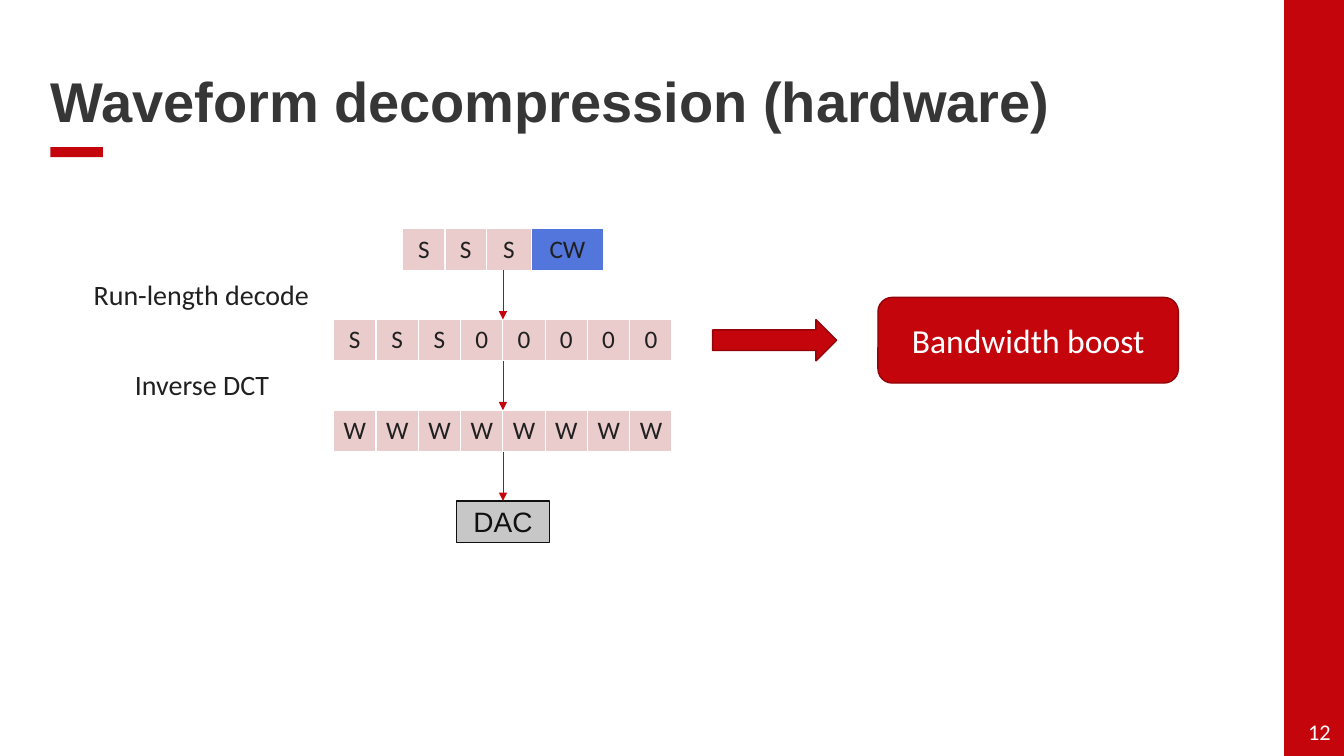
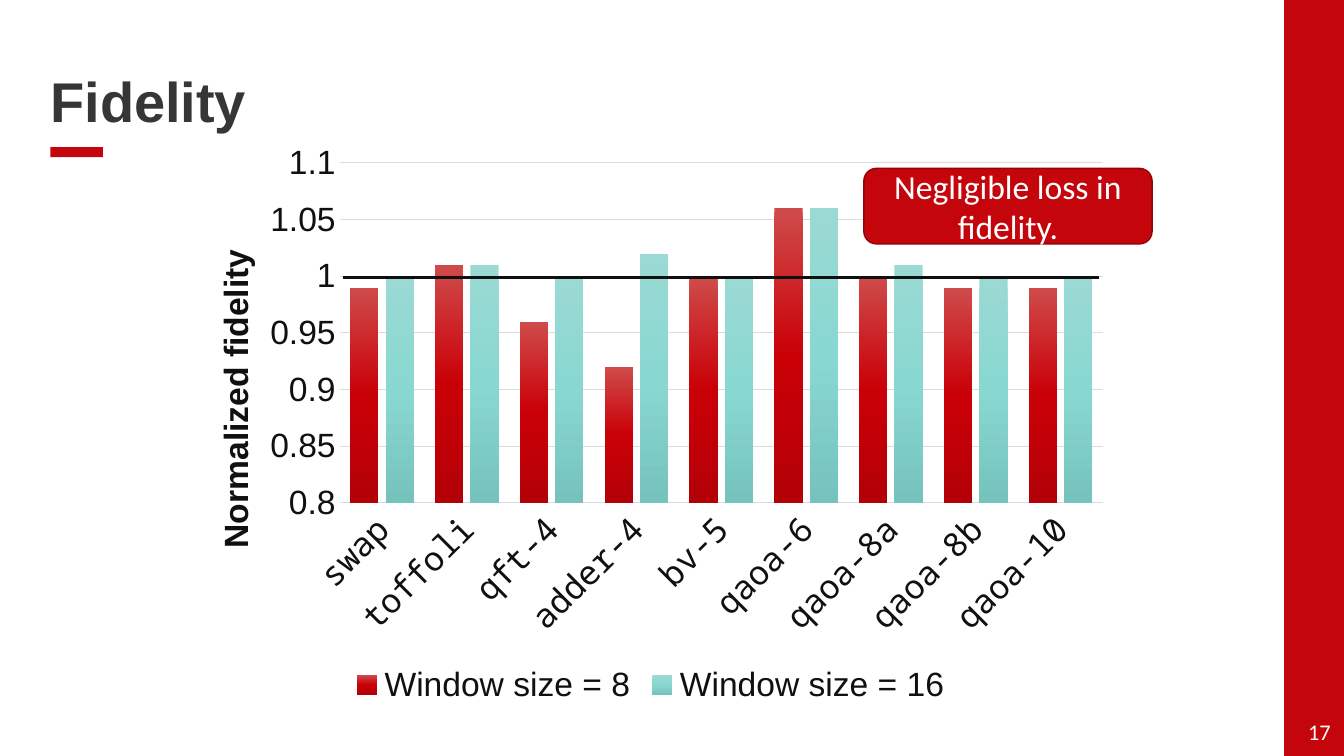
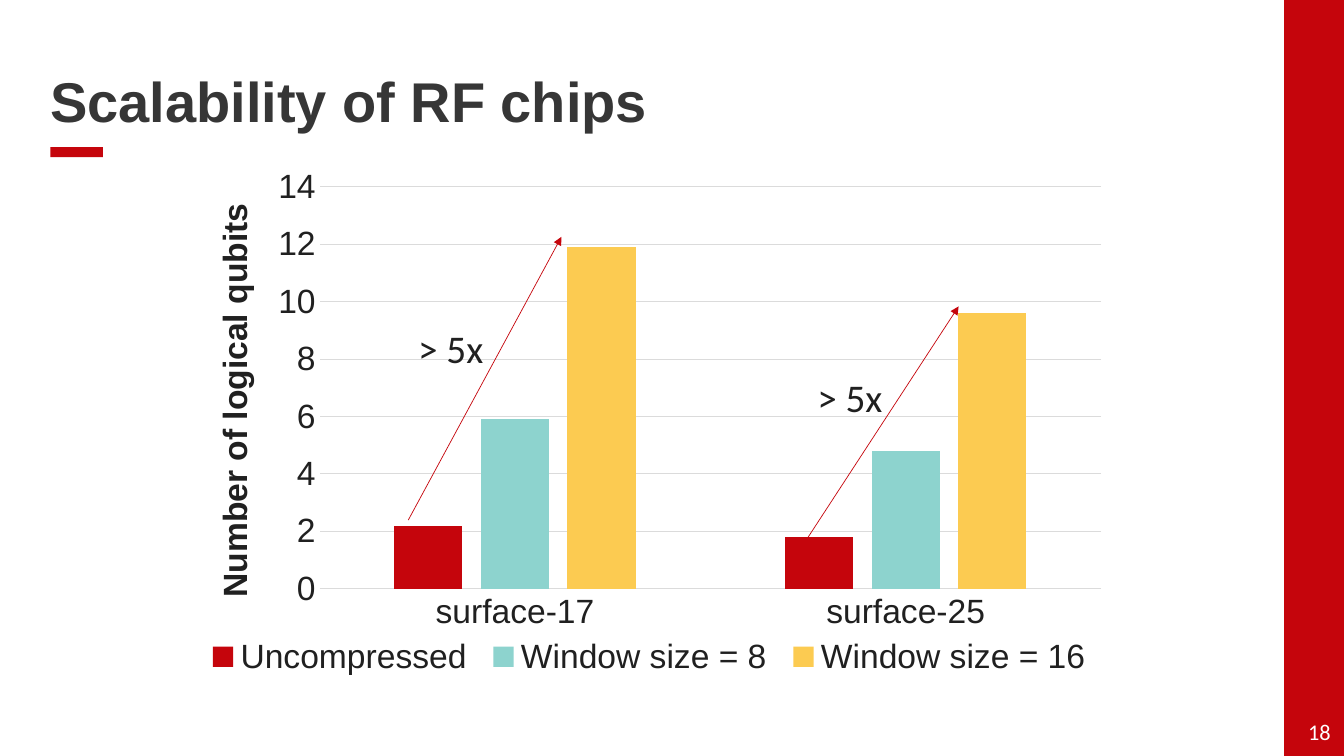
from copy import deepcopy

from lxml.etree import SubElement
from pptx import Presentation
from pptx.chart.data import CategoryChartData
from pptx.dml.color import RGBColor
from pptx.enum.chart import XL_CHART_TYPE, XL_LEGEND_POSITION, XL_TICK_MARK
from pptx.enum.shapes import MSO_CONNECTOR, MSO_SHAPE
from pptx.enum.text import MSO_ANCHOR, PP_ALIGN
from pptx.oxml.ns import qn
from pptx.util import Inches, Pt

RED = RGBColor(0xC5, 0x05, 0x0C)
DARK_RED = RGBColor(0x92, 0x04, 0x09)
PINK = RGBColor(0xEA, 0xCC, 0xCC)
BLUE = RGBColor(0x52, 0x76, 0xDC)
TEAL = RGBColor(0x8D, 0xD3, 0xCE)
YELLOW = RGBColor(0xFC, 0xCB, 0x51)
GREY = RGBColor(0xC7, 0xC7, 0xC7)
GRID_GREY = RGBColor(0xDB, 0xDB, 0xDB)
WHITE = RGBColor(0xFF, 0xFF, 0xFF)
TITLE_GREY = RGBColor(0x36, 0x36, 0x36)
INK = RGBColor(0x20, 0x20, 0x20)
BLACK = RGBColor(0x10, 0x10, 0x10)
RED_FADE = [(0, RGBColor(0xCF, 0x4B, 0x4B)), (0.5, RGBColor(0xCA, 0x00, 0x07)),
            (1, RGBColor(0xB4, 0x00, 0x07))]
TEAL_FADE = [(0, RGBColor(0x9B, 0xD9, 0xD4)), (0.5, RGBColor(0x89, 0xD7, 0xD1)),
             (1, RGBColor(0x76, 0xC3, 0xBD))]

COLUMNS, ROWS = 133.33, 75
BAND_LEFT = 127.4
STACK_CENTER, STACK_TOP, STACK_PITCH, CELL_HEIGHT = 49.9, 22.7, 9, 4.1


def grid(*counts):
    """Turn counts of grid units, ten to the inch, into lengths."""
    return [Inches(count / 10) for count in counts]


def assign(target, values):
    """Set each named attribute of the target."""
    for name, value in values.items():
        setattr(target, name, value)


def set_font(font, size, color, name="Calibri", bold=False):
    """Format a font."""
    assign(font, {"size": Pt(size), "name": name, "bold": bold})
    font.color.rgb = color


def write(frame, text, size, color, name="Calibri", bold=False,
          align=PP_ALIGN.LEFT, anchor=MSO_ANCHOR.TOP):
    """Write one formatted paragraph into a text frame."""
    assign(frame, {"word_wrap": True, "vertical_anchor": anchor})
    para = frame.paragraphs[0]
    para.alignment = align
    span = para.add_run()
    span.text = text
    set_font(span.font, size, color, name, bold)
    return para


def add_label(page, area, text, size, color=INK, **look):
    """Add a text box and return it with its paragraph."""
    box = page.shapes.add_textbox(*grid(*area))
    return box, write(box.text_frame, text, size, color, **look)


def add_block(page, kind, area, fill, outline=None):
    """Add a flat preset shape."""
    shape = page.shapes.add_shape(kind, *grid(*area))
    shape.shadow.inherit = False
    shape.fill.solid()
    shape.fill.fore_color.rgb = fill
    if outline is None:
        shape.line.fill.background()
    else:
        shape.line.color.rgb = outline
        shape.line.width = Pt(1)
    return shape


def add_callout(page, area, text):
    """Add a rounded red box with a takeaway."""
    callout = add_block(page, MSO_SHAPE.ROUNDED_RECTANGLE, area, RED, DARK_RED)
    write(callout.text_frame, text, 24, WHITE,
          align=PP_ALIGN.CENTER, anchor=MSO_ANCHOR.MIDDLE)


def add_line(page, start, end, color=RED, width=0.5, arrow=True):
    """Add a straight line, with an arrowhead at its end if wanted."""
    line = page.shapes.add_connector(MSO_CONNECTOR.STRAIGHT, *grid(*start, *end))
    line.line.color.rgb = color
    line.line.width = Pt(width)
    if arrow:
        SubElement(line.line._get_or_add_ln(), qn("a:tailEnd"), type="triangle")
    SubElement(line._element.spPr, qn("a:effectLst"))
    return line


def add_borders(cell):
    """Give a table cell thin white borders."""
    properties = cell._tc.get_or_add_tcPr()
    for index, side in enumerate(("a:lnL", "a:lnR", "a:lnT", "a:lnB")):
        border = properties.makeelement(qn(side), {"w": str(Pt(1))})
        fill = SubElement(border, qn("a:solidFill"))
        SubElement(fill, qn("a:srgbClr"), val=str(WHITE))
        properties.insert(index, border)


def add_strip(page, top, texts, widths):
    """Add a one-row table centred on the stack."""
    total = sum(widths)
    area = grid(STACK_CENTER - total / 2, top, total, CELL_HEIGHT)
    table = page.shapes.add_table(1, len(texts), *area).table
    assign(table, {"first_row": False, "horz_banding": False})
    for index, (text, width) in enumerate(zip(texts, widths)):
        table.columns[index].width = grid(width)[0]
        cell = table.cell(0, index)
        cell.fill.solid()
        cell.fill.fore_color.rgb = BLUE if text == "CW" else PINK
        cell.vertical_anchor = MSO_ANCHOR.MIDDLE
        write(cell.text_frame, text, 18, INK, align=PP_ALIGN.CENTER,
              anchor=MSO_ANCHOR.MIDDLE)
        add_borders(cell)


def fix_layout(chart, query, index, shares, inner=False):
    """Place a chart part by shares of the chart's size."""
    part = chart.element.xpath(query)[0]
    for old in part.findall(qn("c:layout")):
        part.remove(old)
    layout = part.makeelement(qn("c:layout"), {})
    part.insert(index, layout)
    manual = SubElement(layout, qn("c:manualLayout"))
    if inner:
        SubElement(manual, qn("c:layoutTarget"), val="inner")
    for mode in ("c:xMode", "c:yMode"):
        SubElement(manual, qn(mode), val="edge")
    for side, share in zip(("c:x", "c:y", "c:w", "c:h"), shares):
        SubElement(manual, qn(side), val=str(share))


def paint_series(series, paint):
    """Fill a series with a colour or a vertical fade."""
    series.invert_if_negative = False
    fill = series.format.fill
    if isinstance(paint, RGBColor):
        fill.solid()
        fill.fore_color.rgb = paint
        return
    fill.gradient()
    fill.gradient_angle = 270
    stops = series._element.xpath("c:spPr/a:gradFill/a:gsLst")[0]
    stops.append(deepcopy(stops[-1]))
    for stop, (position, color) in zip(fill.gradient_stops, paint):
        stop.position = position
        stop.color.rgb = color


def add_columns(page, area, categories, series, scale, title, plot_area, title_spot,
                gap, overlap, color, category_font="Arial"):
    """Add a clustered column chart with a titled value axis."""
    data = CategoryChartData()
    data.categories = categories
    for name, values, _ in series:
        data.add_series(name, values)
    chart = page.shapes.add_chart(
        XL_CHART_TYPE.COLUMN_CLUSTERED, *grid(*area), data).chart
    set_font(chart.font, 10, INK)
    assign(chart, {"has_title": False, "has_legend": True})
    assign(chart.legend, {"position": XL_LEGEND_POSITION.BOTTOM,
                          "include_in_layout": False})
    set_font(chart.legend.font, 24, color, "Arial")

    plot = chart.plots[0]
    assign(plot, {"gap_width": gap, "overlap": overlap, "vary_by_categories": False})
    for item, (_, _, paint) in zip(plot.series, series):
        paint_series(item, paint)

    value_axis, category_axis = chart.value_axis, chart.category_axis
    for axis, name in ((value_axis, "Arial"), (category_axis, category_font)):
        assign(axis, {"major_tick_mark": XL_TICK_MARK.NONE,
                      "minor_tick_mark": XL_TICK_MARK.NONE})
        set_font(axis.tick_labels.font, 24, color, name)
    minimum, maximum, step = scale
    assign(value_axis, {"minimum_scale": minimum, "maximum_scale": maximum,
                        "major_unit": step, "has_major_gridlines": True})
    value_axis.format.line.fill.background()
    for line in (value_axis.major_gridlines.format.line, category_axis.format.line):
        line.color.rgb = GRID_GREY
        line.width = Pt(0.75)
    span = value_axis.axis_title.text_frame.paragraphs[0].add_run()
    span.text = title
    set_font(span.font, 24, color, "Arial", True)

    fix_layout(chart, "c:chart/c:plotArea", 0, plot_area, inner=True)
    fix_layout(chart, "//c:valAx/c:title", 1, title_spot)
    return chart


def start_page(deck, title, number):
    """Add a page with the band, title, accent bar and page number."""
    page = deck.slides.add_slide(deck.slide_layouts[6])
    add_block(page, MSO_SHAPE.RECTANGLE, (BAND_LEFT, 0, COLUMNS - BAND_LEFT, ROWS), RED)
    add_block(page, MSO_SHAPE.RECTANGLE, (5, 14.6, 5.2, 1), RED)
    box, para = add_label(page, (5, 6.8, 119.2, 6.6), title, 40, TITLE_GREY,
                          name="Arial", bold=True, anchor=MSO_ANCHOR.BOTTOM)
    assign(box.text_frame, {"margin_left": 0, "margin_bottom": 0})
    assign(para, {"line_spacing": 0.9, "space_before": Pt(10)})
    add_label(page, (BAND_LEFT, 70.6, 5.6, 4), str(number), 16, WHITE,
              align=PP_ALIGN.RIGHT, anchor=MSO_ANCHOR.MIDDLE)
    return page


def build_decompression(deck):
    """Build the decompression pipeline page."""
    page = start_page(deck, "Waveform decompression (hardware)", 12)
    tops = [STACK_TOP + STACK_PITCH * step for step in range(4)]
    strips = [("S", "S", "S", "CW"), "SSS00000", "WWWWWWWW"]
    widths = [(4.2, 4.1, 4.5, 7.1), [4.2] * 8, [4.2] * 8]
    for top, texts, sizes in zip(tops, strips, widths):
        add_strip(page, top, texts, sizes)
    converter = add_block(page, MSO_SHAPE.RECTANGLE,
                          (STACK_CENTER - 4.6, tops[3], 9.2, CELL_HEIGHT), GREY, BLACK)
    write(converter.text_frame, "DAC", 20, BLACK, "Arial",
          align=PP_ALIGN.CENTER, anchor=MSO_ANCHOR.MIDDLE)
    for top, following in zip(tops, tops[1:]):
        arrow = add_line(page, (STACK_CENTER, top + CELL_HEIGHT),
                         (STACK_CENTER, following))
    arrow.end_connect(converter, 0)
    steps = [("Run-length decode", 8.3, 24.8), ("Inverse DCT", 12.4, 16.6)]
    for top, (text, left, width) in zip(tops, steps):
        add_label(page, (left, top + 4.3, width, 4.4), text, 20)
    add_block(page, MSO_SHAPE.RIGHT_ARROW, (70.7, tops[1], 12.3, CELL_HEIGHT),
              RED, DARK_RED)
    add_callout(page, (87.1, 29.5, 29.8, 8.5), "Bandwidth boost")


def build_fidelity(deck):
    """Build the fidelity chart page."""
    page = start_page(deck, "Fidelity", 17)
    chart = add_columns(
        page, (17.8, 13.3, 93.5, 57.2),
        ["swap", "toffoli", "qft-4", "adder-4", "bv-5",
         "qaoa-6", "qaoa-8a", "qaoa-8b", "qaoa-10"],
        [("Window size = 8",
          (0.99, 1.01, 0.96, 0.92, 1, 1.06, 1, 0.99, 0.99), RED_FADE),
         ("Window size = 16",
          (1, 1.01, 1, 1.02, 1, 1.06, 1.01, 1, 1), TEAL_FADE)],
        (0.8, 1.1, 0.05), "Normalized fidelity", (0.17, 0.05, 0.81, 0.59),
        (0.03, 0.19), 75, -25, BLACK, "Noto Sans Mono")
    chart.element.xpath("//c:catAx/c:txPr/a:bodyPr")[0].set("rot", "-2700000")
    add_line(page, (34, 27.5), (109, 27.5), BLACK, 2.25, arrow=False)
    add_callout(page, (85.7, 16.7, 28.6, 7.5), "Negligible loss in fidelity.")


def build_scalability(deck):
    """Build the scalability chart page."""
    page = start_page(deck, "Scalability of RF chips", 18)
    chart = add_columns(
        page, (17.7, 15.3, 93.4, 53.9), ["surface-17", "surface-25"],
        [("Uncompressed", (2.2, 1.8), RED),
         ("Window size = 8", (5.9, 4.8), TEAL),
         ("Window size = 16", (11.9, 9.6), YELLOW)],
        (0, 14, 2), "Number of logical qubits", (0.15, 0.06, 0.83, 0.74),
        (0.03, 0.08), 219, -27, INK)
    fix_layout(chart, "c:chart/c:legend", 1, (0.02, 0.88, 0.96, 0.09))
    for start, end, top in (((40.5, 51.6), (55.7, 23.5), 31.7),
                            ((80.1, 53.4), (95.1, 30.4), 36.5)):
        add_line(page, start, end)
        add_label(page, (start[0], top, 9.6, 5.7), "> 5x", 28)


def main():
    """Build and save the deck."""
    deck = Presentation()
    deck.slide_width, deck.slide_height = grid(COLUMNS, ROWS)
    build_decompression(deck)
    build_fidelity(deck)
    build_scalability(deck)
    deck.save("out.pptx")


if __name__ == "__main__":
    main()
